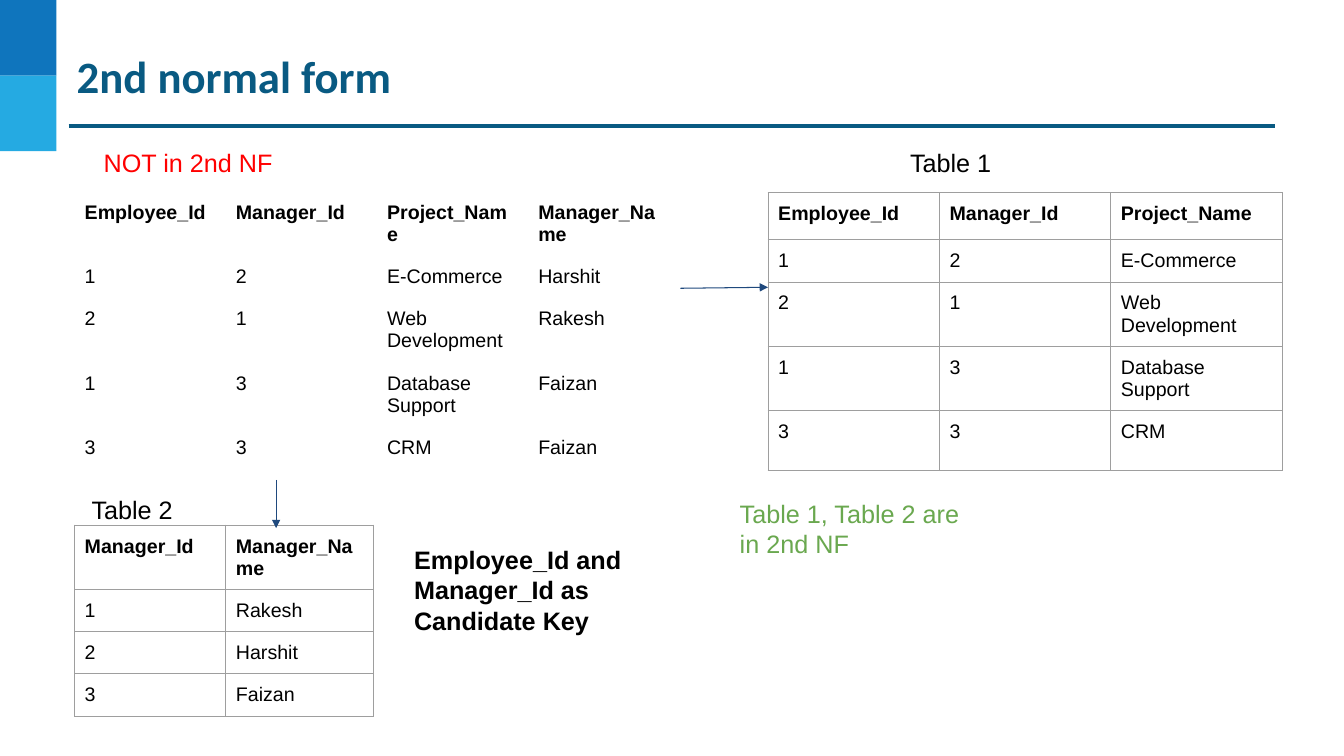
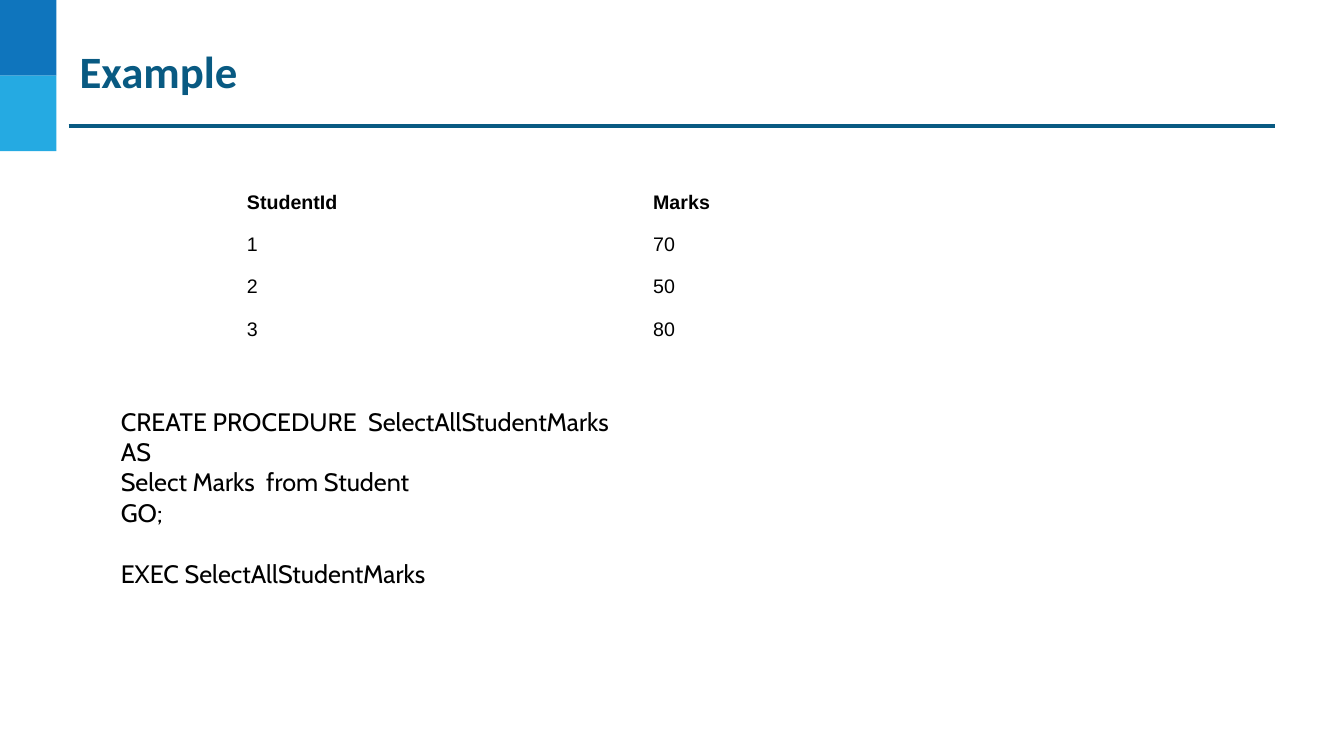
"""Build two slides on the second normal form and a stored procedure."""
from dataclasses import dataclass
from typing import Any

from lxml.etree import SubElement
from pptx import Presentation
from pptx.dml.color import RGBColor
from pptx.enum.shapes import MSO_CONNECTOR as Connector, MSO_SHAPE as Preset
from pptx.enum.text import MSO_ANCHOR as Anchor, MSO_AUTO_SIZE as AutoSize, PP_ALIGN as Align
from pptx.oxml.ns import qn
from pptx.util import Inches, Pt

SLIDE_WIDTH, SLIDE_HEIGHT = Inches(40 / 3), Inches(7.5)
COLUMN, ROW = SLIDE_WIDTH / 40, SLIDE_HEIGHT / 30

DARK_BLUE = RGBColor(0x0F, 0x75, 0xBD)
LIGHT_BLUE = RGBColor(0x25, 0xAA, 0xE2)
TEAL = RGBColor(0x09, 0x5A, 0x82)
NAVY = RGBColor(0x1F, 0x49, 0x7D)
BLACK = RGBColor(0, 0, 0)
RED = RGBColor(0xFF, 0, 0)
GREEN = RGBColor(0x6A, 0xA8, 0x4F)
GREY = RGBColor(0x9E, 0x9E, 0x9E)

NO_GRID_STYLE = "{2D5ABB26-0587-4C30-8999-92F81FD0307C}"
TITLE_FONT = {"name": "Calibri", "size": Pt(32), "bold": True}
HEADER_FONT = {"name": "Arial", "size": Pt(14), "bold": True}
CELL_FONT = HEADER_FONT | {"bold": False}
LABEL_FONT = {"name": "Arial", "size": Pt(18), "bold": False}
KEY_FONT = LABEL_FONT | {"bold": True}
CODE_FONT = LABEL_FONT | {"name": "Cabin"}
TEXT_INSET, TITLE_INSET = Inches(0.1), Inches(0.02)
CODE_GAP = Pt(22)


@dataclass(frozen=True)
class Area:
    left: float
    top: float
    width: float
    height: float

    def lengths(self) -> tuple[int, int, int, int]:
        return across(self.left), down(self.top), across(self.width), down(self.height)


@dataclass(frozen=True)
class Grid:
    left: float
    top: float
    columns: list[float]
    rows: list[float]
    cells: list[list[str]]
    bordered: bool = False


@dataclass(frozen=True)
class Span:
    text: str
    color: RGBColor = BLACK


@dataclass(frozen=True)
class Label:
    area: Area
    spans: list[Span]
    font: dict[str, Any]
    tab: float = 0


@dataclass(frozen=True)
class Line:
    start: tuple[float, float]
    end: tuple[float, float]
    color: RGBColor = NAVY
    weight: float = 0.75
    arrow: bool = True


BANDS = [(Area(0, 0, 1.68, 3), DARK_BLUE), (Area(0, 3, 1.68, 3), LIGHT_BLUE)]
TITLE_RULE = Line((2.04, 5), (37.95, 5), TEAL, 2.25, False)

NORMAL_FORM_GRIDS = [
    Grid(2.22, 7.6, [4.5, 4.5, 4.5, 4.29], [1.72, 1.12, 1.72, 1.72, 1.12], [
        ["Employee_Id", "Manager_Id", "Project_Name", "Manager_Name"],
        ["1", "2", "E-Commerce", "Harshit"],
        ["2", "1", "Web Development", "Rakesh"],
        ["1", "3", "Database Support", "Faizan"],
        ["3", "3", "CRM", "Faizan"],
    ]),
    Grid(2.22, 20.84, [4.5, 4.38], [2.04, 1.44, 1.32, 1.32], [
        ["Manager_Id", "Manager_Name"],
        ["1", "Rakesh"],
        ["2", "Harshit"],
        ["3", "Faizan"],
    ], True),
    Grid(22.86, 7.64, [5.1] * 3, [1.88, 1.56, 1.56, 2.36, 2.36], [
        ["Employee_Id", "Manager_Id", "Project_Name"],
        ["1", "2", "E-Commerce"],
        ["2", "1", "Web Development"],
        ["1", "3", "Database Support"],
        ["3", "3", "CRM"],
    ], True),
]
NORMAL_FORM_LABELS = [
    Label(Area(2.79, 5.44, 29.85, 2), [Span("NOT in 2nd NF", RED), Span("\tTable 1")],
          LABEL_FONT, 24),
    Label(Area(2.43, 19.2, 5.43, 2), [Span("Table 2")], LABEL_FONT),
    Label(Area(21.72, 19.36, 7.83, 3.24), [Span("Table 1, Table 2 are in 2nd NF", GREEN)],
          LABEL_FONT),
    Label(Area(12.03, 21.2, 6.99, 4.44),
          [Span("Employee_Id and Manager_Id as Candidate Key")], KEY_FONT),
]
NORMAL_FORM_ARROWS = [
    Line((20.25, 11.44), (22.86, 11.4)),
    Line((8.22, 19.04), (8.22, 20.96)),
]

STUDENT_GRID = Grid(7.05, 7.2, [12.09] * 2, [1.44] * 4, [
    ["StudentId", "Marks"],
    ["1", "70"],
    ["2", "50"],
    ["3", "80"],
])
CODE_AREA = Area(3.3, 15.72, 25.32, 8.08)
CODE_BLOCKS = [
    ["CREATE PROCEDURE  SelectAllStudentMarks", "AS", "Select Marks  from Student", "GO;"],
    ["EXEC SelectAllStudentMarks"],
]


def across(columns: float) -> int:
    return round(columns * COLUMN)


def down(rows: float) -> int:
    return round(rows * ROW)


def assign(target: Any, values: dict[str, Any]) -> None:
    for name, value in values.items():
        setattr(target, name, value)


def set_margins(target: Any, inset: int) -> None:
    assign(target, {f"margin_{side}": inset for side in ("left", "top", "right", "bottom")})


def add_run(paragraph: Any, span: Span, font: dict[str, Any]) -> None:
    run = paragraph.add_run()
    run.text = span.text
    assign(run.font, font)
    run.font.color.rgb = span.color


def add_band(slide: Any, area: Area, color: RGBColor) -> Any:
    band = slide.shapes.add_shape(Preset.RECTANGLE, *area.lengths())
    band.shadow.inherit = False
    band.fill.solid()
    band.fill.fore_color.rgb = color
    band.line.fill.background()
    return band


def add_line(slide: Any, line: Line) -> Any:
    points = [scale(value) for point in (line.start, line.end)
              for scale, value in zip((across, down), point)]
    connector = slide.shapes.add_connector(Connector.STRAIGHT, *points)
    connector.line.color.rgb = line.color
    connector.line.width = Pt(line.weight)
    if line.arrow:
        SubElement(connector.line._get_or_add_ln(), qn("a:tailEnd"), type="triangle")
    SubElement(connector.element.spPr, qn("a:effectLst"))
    return connector


def decorate_layout(layout: Any, slide: Any) -> None:
    shapes = [add_band(slide, area, color) for area, color in BANDS]
    shapes.append(add_line(slide, TITLE_RULE))
    for index, shape in enumerate(shapes):
        shape.element.xpath(".//p:cNvPr")[0].set("id", str(100 + index))
        layout.shapes.element.insert(2 + index, shape.element)


def set_title(slide: Any, text: str, left: float, top: float) -> None:
    title = slide.shapes.title
    lengths = Area(left, top, 35.9, 2.32).lengths()
    assign(title, dict(zip(("left", "top", "width", "height"), lengths)))
    frame = title.text_frame
    assign(frame, {"auto_size": AutoSize.NONE, "vertical_anchor": Anchor.MIDDLE,
                   "word_wrap": True})
    set_margins(frame, TITLE_INSET)
    paragraph = frame.paragraphs[0]
    paragraph.alignment = Align.LEFT
    add_run(paragraph, Span(text, TEAL), TITLE_FONT)


def add_text_frame(slide: Any, area: Area) -> Any:
    frame = slide.shapes.add_textbox(*area.lengths()).text_frame
    frame.word_wrap = True
    set_margins(frame, TEXT_INSET)
    return frame


def add_label(slide: Any, label: Label) -> None:
    paragraph = add_text_frame(slide, label.area).paragraphs[0]
    if label.tab:
        tabs = SubElement(paragraph._p.get_or_add_pPr(), qn("a:tabLst"))
        SubElement(tabs, qn("a:tab"), pos=str(across(label.tab)), algn="l")
    for span in label.spans:
        add_run(paragraph, span, label.font)


def add_code(slide: Any, area: Area, blocks: list[list[str]]) -> None:
    frame = add_text_frame(slide, area)
    for block_index, block in enumerate(blocks):
        for line_index, text in enumerate(block):
            first = block_index == line_index == 0
            paragraph = frame.paragraphs[0] if first else frame.add_paragraph()
            if block_index and line_index == 0:
                paragraph.space_before = CODE_GAP
            add_run(paragraph, Span(text), CODE_FONT)


def add_borders(cell: Any) -> None:
    properties = cell._tc.get_or_add_tcPr()
    for side in ("lnL", "lnR", "lnT", "lnB"):
        border = SubElement(properties, qn(f"a:{side}"), w=str(Pt(0.75)))
        fill = SubElement(border, qn("a:solidFill"))
        SubElement(fill, qn("a:srgbClr"), val=str(GREY))


def add_grid(slide: Any, grid: Grid) -> None:
    area = Area(grid.left, grid.top, sum(grid.columns), sum(grid.rows))
    frame = slide.shapes.add_table(len(grid.rows), len(grid.columns), *area.lengths())
    table = frame.table
    assign(table, {"first_row": False, "horz_banding": False})
    next(frame.element.iter(qn("a:tableStyleId"))).text = NO_GRID_STYLE
    for column, width in zip(table.columns, grid.columns):
        column.width = across(width)
    for row_index, (row, height) in enumerate(zip(table.rows, grid.rows)):
        row.height = down(height)
        font = CELL_FONT if row_index else HEADER_FONT
        for cell, text in zip(row.cells, grid.cells[row_index]):
            set_margins(cell, TEXT_INSET)
            if grid.bordered:
                add_borders(cell)
            cell.fill.background()
            add_run(cell.text_frame.paragraphs[0], Span(text), font)


def fill_normal_form(slide: Any) -> None:
    set_title(slide, "2nd normal form", 2.22, 1.84)
    for grid in NORMAL_FORM_GRIDS:
        add_grid(slide, grid)
    for arrow in NORMAL_FORM_ARROWS:
        add_line(slide, arrow)
    for label in NORMAL_FORM_LABELS:
        add_label(slide, label)


def fill_example(slide: Any) -> None:
    set_title(slide, "Example", 2.31, 1.64)
    add_grid(slide, STUDENT_GRID)
    add_code(slide, CODE_AREA, CODE_BLOCKS)


def main() -> None:
    presentation = Presentation()
    assign(presentation, {"slide_width": SLIDE_WIDTH, "slide_height": SLIDE_HEIGHT})
    layout = presentation.slide_layouts.get_by_name("Title Only")
    normal_form = presentation.slides.add_slide(layout)
    decorate_layout(layout, normal_form)
    fill_normal_form(normal_form)
    fill_example(presentation.slides.add_slide(layout))
    presentation.save("out.pptx")


if __name__ == "__main__":
    main()
